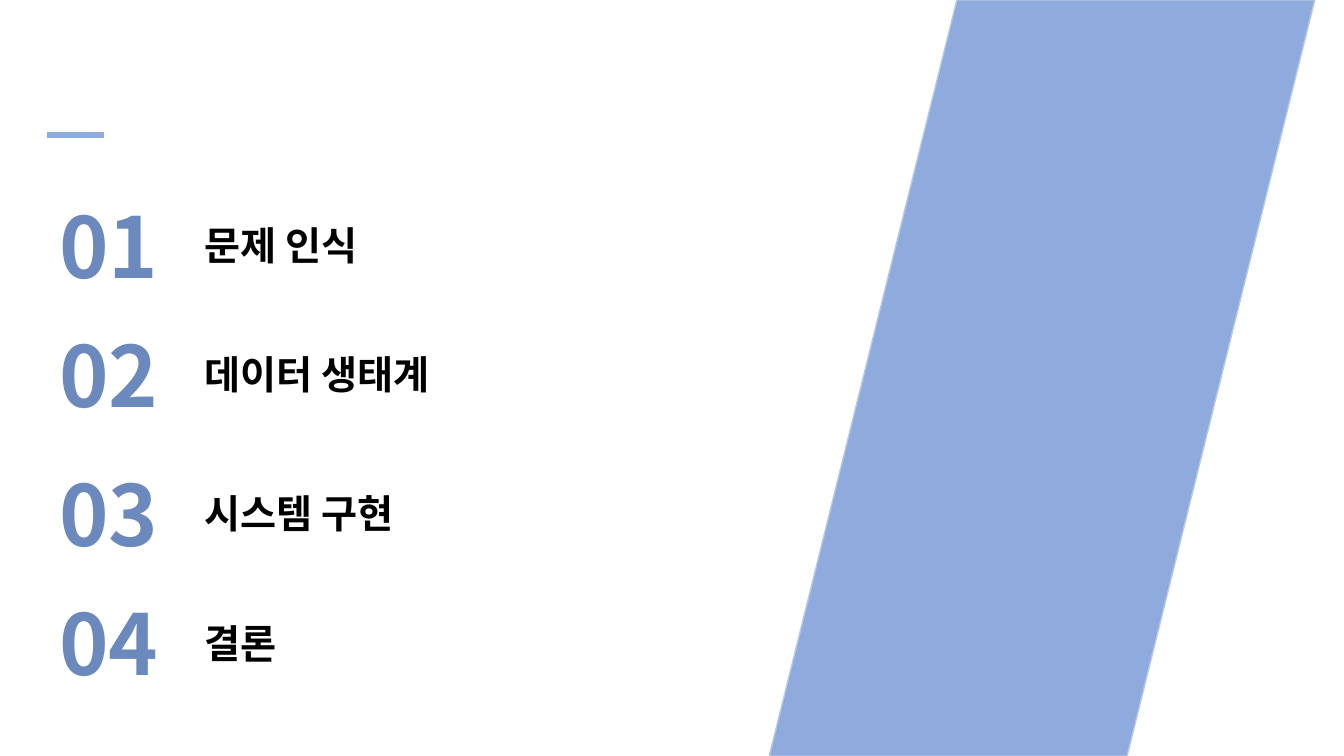
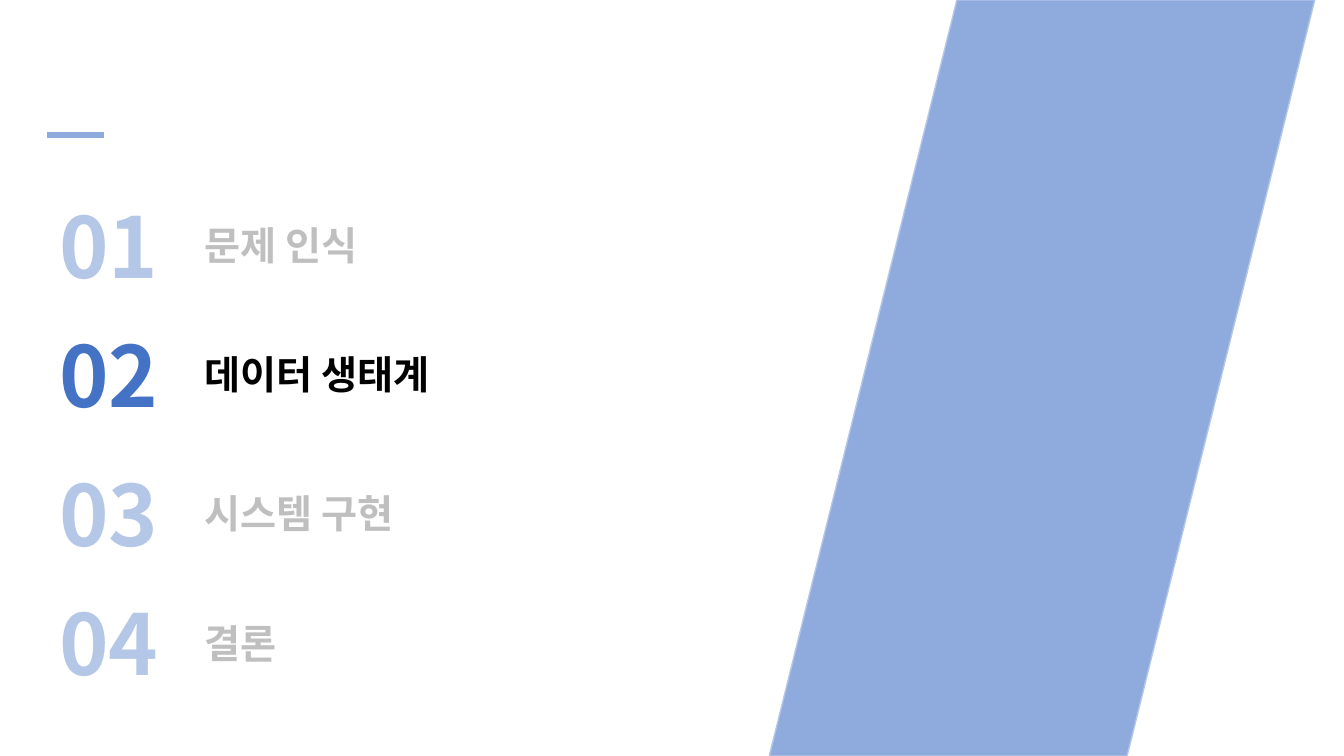
from dataclasses import dataclass

from lxml import etree
from pptx import Presentation
from pptx.dml.color import RGBColor
from pptx.enum.shapes import MSO_CONNECTOR, MSO_SHAPE
from pptx.enum.text import MSO_AUTO_SIZE
from pptx.oxml.ns import qn
from pptx.util import Emu, Pt

EMU_PER_PX = 9144
SLIDE_W, SLIDE_H = 1333, 750
BLANK_LAYOUT = 6


@dataclass(frozen=True)
class Theme:
    font: str = "Noto Sans CJK KR"
    band: str = "8FAADC"
    band_edge: str = "B4C7E7"
    number_size: int = 60
    label_size: int = 28
    plain: tuple = ("6C89BD", "000000")
    active: tuple = ("4472C4", "000000")
    muted: tuple = ("B4C7E7", "BFBFBF")


def px(n):
    return Emu(n * EMU_PER_PX)


def rgb(color):
    return RGBColor.from_string(color)


class Deck:
    def __init__(self, theme):
        self.theme = theme
        self.prs = Presentation()
        self.prs.slide_width = px(SLIDE_W)
        self.prs.slide_height = px(SLIDE_H)
        self.s = None

    def add_slide(self):
        self.s = self.prs.slides.add_slide(self.prs.slide_layouts[BLANK_LAYOUT])

    def line(self, x1, y1, x2, y2, color, width):
        sp = self.s.shapes.add_connector(
            MSO_CONNECTOR.STRAIGHT, px(x1), px(y1), px(x2), px(y2)
        )
        sp.line.color.rgb = rgb(color)
        sp.line.width = Pt(width)
        etree.SubElement(sp._element.spPr, qn("a:effectLst"))

    def band(self, x, y, w, h, slant):
        sp = self.s.shapes.add_shape(
            MSO_SHAPE.PARALLELOGRAM, px(x), px(y), px(w), px(h)
        )
        sp.adjustments[0] = slant
        sp.shadow.inherit = False
        sp.fill.solid()
        sp.fill.fore_color.rgb = rgb(self.theme.band)
        sp.line.color.rgb = rgb(self.theme.band_edge)
        sp.line.width = Pt(1)

    def text(self, x, y, w, h, text, size, color, wrap=True):
        tf = self.s.shapes.add_textbox(px(x), px(y), px(w), px(h)).text_frame
        tf.word_wrap = wrap
        tf.auto_size = MSO_AUTO_SIZE.SHAPE_TO_FIT_TEXT
        r = tf.paragraphs[0].add_run()
        r.text = text
        r.font.size = Pt(size)
        r.font.bold = True
        r.font.color.rgb = rgb(color)
        r.font.name = self.theme.font
        ea = etree.SubElement(r._r.get_or_add_rPr(), qn("a:ea"))
        ea.set("typeface", self.theme.font)

    def agenda_item(self, index, label, colors):
        number_color, label_color = colors
        top = 188 + 128 * index + 10 * (index // 2)
        self.text(49, top, 125, 111, f"{index + 1:02d}",
                  self.theme.number_size, number_color, wrap=False)
        self.text(193, top + 27, 437, 57, label,
                  self.theme.label_size, label_color)

    def agenda(self, labels, current=None):
        self.add_slide()
        self.line(47, 134, 103, 134, self.theme.band, 4.5)
        self.band(763, 0, 541, SLIDE_H, 0.344)
        for i, label in enumerate(labels):
            if current is None:
                colors = self.theme.plain
            else:
                colors = self.theme.active if i == current else self.theme.muted
            self.agenda_item(i, label, colors)


def main():
    labels = ["문제 인식", "데이터 생태계", "시스템 구현", "결론"]
    deck = Deck(Theme())
    deck.agenda(labels)
    deck.agenda(labels, current=1)
    deck.prs.save("out.pptx")


if __name__ == "__main__":
    main()
